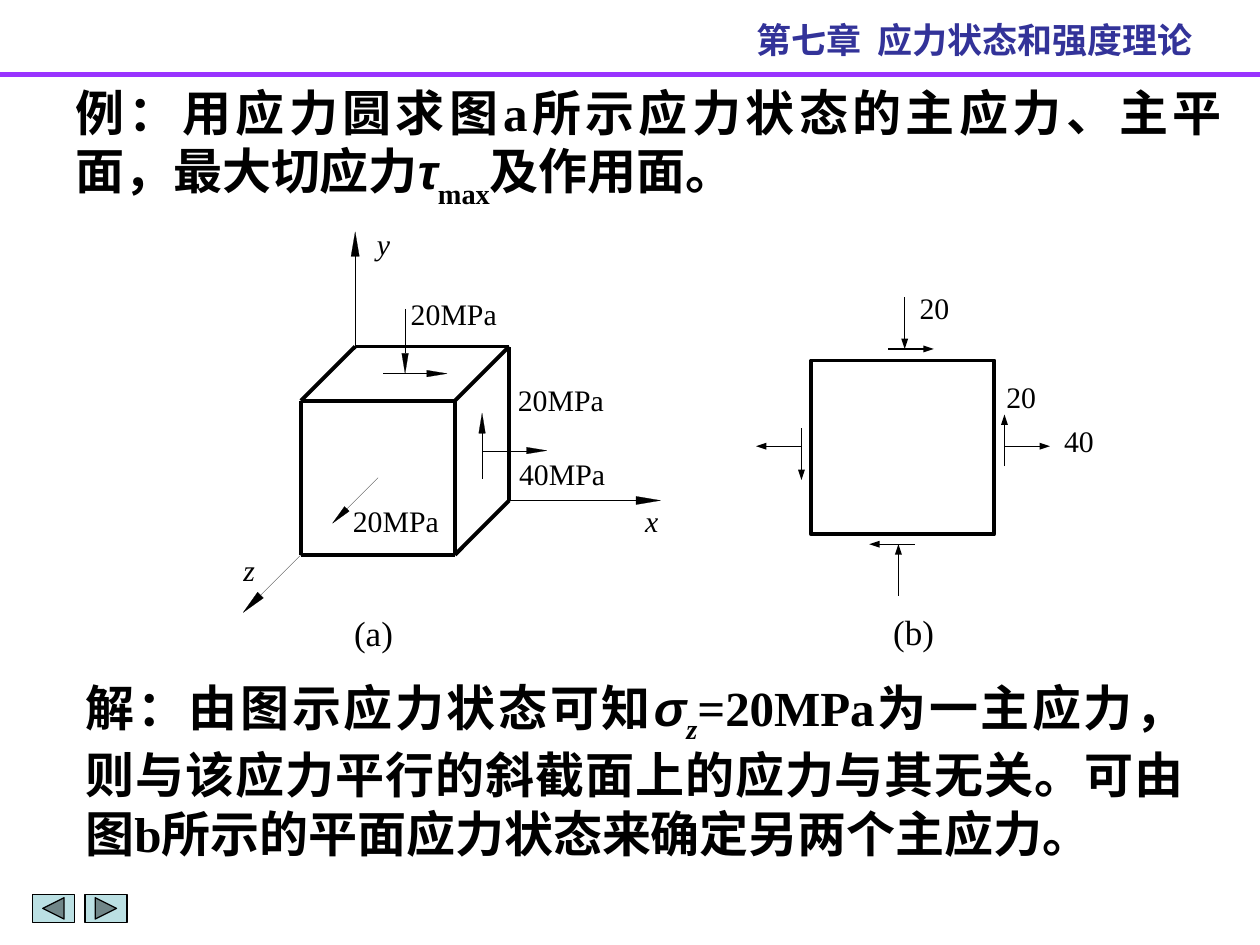
from dataclasses import dataclass
from math import hypot

from lxml.etree import SubElement
from pptx import Presentation
from pptx.dml.color import RGBColor
from pptx.enum.shapes import MSO_CONNECTOR, MSO_SHAPE
from pptx.enum.text import MSO_ANCHOR, MSO_AUTO_SIZE, PP_ALIGN
from pptx.oxml.ns import qn
from pptx.slide import Slide
from pptx.util import Pt


def color(value):
    """Turn a hex string into a colour."""
    return RGBColor.from_string(value)


@dataclass
class Sheet:
    """Hold the style and the slide being drawn."""

    slide: Slide
    ink: str = "000000"
    heading_ink: str = "333399"
    rule_ink: str = "9933FF"
    button_fill: str = "BBE0E3"
    serif: str = "Times New Roman"
    symbol: str = "Arial"
    hairline: float = 0.1

    def frame(self, holder, inset=(7.2, 3.6), anchor=MSO_ANCHOR.TOP):
        """Set up the text frame of a holder and return its paragraph."""
        frame = holder.text_frame
        frame.word_wrap = True
        frame.auto_size = MSO_AUTO_SIZE.SHAPE_TO_FIT_TEXT
        frame.vertical_anchor = anchor
        frame.margin_left = frame.margin_right = Pt(inset[0])
        frame.margin_top = frame.margin_bottom = Pt(inset[1])
        return frame.paragraphs[0]

    def run(self, paragraph, words, size, ink=None, font=None,
            bold=False, italic=False, baseline=0):
        """Append one run to a paragraph."""
        run = paragraph.add_run()
        run.text = words
        run.font.size = Pt(size)
        run.font.name = font or self.serif
        run.font.bold = bold
        run.font.italic = italic
        run.font.color.rgb = color(ink or self.ink)
        if baseline:
            run.font._element.set("baseline", str(baseline * 1000))

    def heading(self, box, chapter, topic, stop):
        """Fill the title placeholder with a chapter number and its topic."""
        title = self.slide.shapes.title
        title.left, title.top, title.width, title.height = map(Pt, box)
        paragraph = self.frame(title)
        paragraph.alignment = PP_ALIGN.LEFT
        tabs = SubElement(paragraph._p.get_or_add_pPr(), qn("a:tabLst"))
        SubElement(tabs, qn("a:tab"), pos=str(Pt(stop)), algn="l")
        self.run(paragraph, f"{chapter}\t{topic}", 20, self.heading_ink, bold=True)

    def passage(self, box, runs, anchor=MSO_ANCHOR.TOP):
        """Add a justified bold passage made of styled runs."""
        holder = self.slide.shapes.add_textbox(*map(Pt, box))
        paragraph = self.frame(holder, anchor=anchor)
        paragraph.alignment = PP_ALIGN.JUSTIFY
        paragraph._p.get_or_add_pPr().set("hangingPunct", "0")
        for words, style in runs:
            self.run(paragraph, words, 28, bold=True, **style)

    def label(self, box, words, size=17, inset=(0, 0), italic=False):
        """Add a short figure label."""
        holder = self.slide.shapes.add_textbox(*map(Pt, box))
        self.run(self.frame(holder, inset), words, size, italic=italic)

    def line(self, start, end, width, ink=None, arrow=False):
        """Add a straight line, with an arrowhead if asked."""
        line = self.slide.shapes.add_connector(
            MSO_CONNECTOR.STRAIGHT, *map(Pt, start + end))
        line.line.width = Pt(width)
        line.line.color.rgb = color(ink or self.ink)
        if arrow:
            SubElement(line.line._get_or_add_ln(), qn("a:tailEnd"),
                       type="triangle", w="sm")
        SubElement(line._element.spPr, qn("a:effectLst"))

    def slim_arrow(self, start, tip, length, width):
        """Add a hairline ending in a slim solid head."""
        dx, dy = tip[0] - start[0], tip[1] - start[1]
        span = hypot(dx, dy)
        ux, uy = dx / span, dy / span
        neck = (tip[0] - ux * length, tip[1] - uy * length)
        self.line(start, neck, self.hairline)
        sides = [(neck[0] - uy * half, neck[1] + ux * half)
                 for half in (width / 2, -width / 2)]
        corners = [tuple(map(Pt, corner)) for corner in (*sides, tip)]
        builder = self.slide.shapes.build_freeform(*corners[0])
        builder.add_line_segments(corners[1:], close=True)
        self.paint(builder.convert_to_shape(), self.ink, self.hairline)

    def paint(self, shape, fill, width):
        """Give a shape its fill and outline."""
        shape.shadow.inherit = False
        if fill:
            shape.fill.solid()
            shape.fill.fore_color.rgb = color(fill)
        else:
            shape.fill.background()
        shape.line.color.rgb = color(self.ink)
        shape.line.width = Pt(width)

    def shape(self, kind, box, fill=None, width=0.75):
        """Add a preset shape."""
        self.paint(self.slide.shapes.add_shape(kind, *map(Pt, box)), fill, width)


def draw_cube(sheet):
    """Draw the stressed cube with its axes."""
    left, top, side, depth = 172, 229, 88, 31
    right, bottom = left + side, top + side
    front = [(left, top), (left, bottom), (right, bottom), (right, top)]
    back = [(x + depth, y - depth) for x, y in front]
    edges = list(zip(front, front[1:] + front[:1]))
    edges += [(front[i], back[i]) for i in (0, 2, 3)]
    edges += [(back[2], back[3]), (back[3], back[0])]
    for start, end in edges:
        sheet.line(start, end, 2.25)

    for start, tip in (
        (back[2], (377.5, back[2][1])),
        (back[0], (back[0][0], 132.5)),
        (front[1], (139, 350)),
    ):
        sheet.slim_arrow(start, tip, 14, 4.7)
    for start, tip in (
        ((231.5, 176.5), (231.5, 213.5)),
        ((219, 213.5), (255.5, 213.5)),
        ((275.5, 273.5), (275.5, 236)),
        ((275.5, 257.5), (312.5, 257.5)),
        ((216, 273), (190, 299)),
    ):
        sheet.slim_arrow(start, tip, 11.6, 3.8)

    for x, y, stress in ((234.7, 169.2, 20), (295.9, 218.2, 20),
                         (296.6, 260.6, 40), (201.6, 287.3, 20)):
        sheet.label((x, y, 54, 20), f"{stress}MPa")
    for x, y, axis in ((368.6, 287.3, "x"), (215.3, 128.9, "y"), (139, 315.4, "z")):
        sheet.label((x, y, 10, 20), axis, italic=True)
    sheet.label((202.3, 349.2, 26, 24), "(a)", 20)


def draw_plane(sheet):
    """Draw the plane stress element."""
    sheet.shape(MSO_SHAPE.RECTANGLE, (463.7, 206, 104.4, 99.4), width=2.25)
    normal, shear = 29.5, 26
    for x, y, dx, dy in (
        (517, 170, 0, normal), (513.4, 340.5, 0, -normal),
        (574, 255, shear, 0), (458, 255, -shear, 0),
        (507.6, 199.4, shear, 0), (522.7, 311, -shear, 0),
        (458, 244.8, 0, normal), (574, 266.4, 0, -normal),
    ):
        sheet.line((x, y), (x + dx, y + dy), 0.75, arrow=True)
    for x, y, stress in ((518.4, 162, "20"), (568, 213, "20"), (601, 237.8, "40")):
        sheet.label((x, y, 33.1, 28), stress, inset=(7.2, 3.6))
    sheet.label((503.3, 345.6, 44, 31.7), "(b)", 20, inset=(7.2, 3.6))


def main():
    """Build the slide and save it."""
    deck = Presentation()
    deck.slide_width, deck.slide_height = Pt(720), Pt(540)
    sheet = Sheet(deck.slides.add_slide(deck.slide_layouts[5]))
    sheet.line((0, 42.5), (720, 42.5), 3, sheet.rule_ink)
    sheet.heading((425, 7.2, 287, 31.7), "第七章", "应力状态和强度理论", 69)
    sheet.passage((36, 43.2, 669.6, 80.6), (
        ("例：用应力圆求图a所示应力状态的主应力、主平面，最大切应力", {}),
        ("τ", {"font": sheet.symbol, "italic": True}),
        ("max", {"baseline": -30}),
        ("及作用面。", {}),
    ), MSO_ANCHOR.MIDDLE)
    sheet.passage((41.8, 383.8, 642.2, 113), (
        ("解：由图示应力状态可知", {}),
        ("σ", {"font": sheet.symbol, "italic": True}),
        ("z", {"italic": True, "baseline": -25}),
        ("=20MPa为一主应力，则与该应力平行的斜截面上的应力与其无关。"
         "可由图b所示的平面应力状态来确定另两个主应力。", {}),
    ))
    draw_plane(sheet)
    draw_cube(sheet)
    for kind, x in ((MSO_SHAPE.ACTION_BUTTON_BACK_OR_PREVIOUS, 18.5),
                    (MSO_SHAPE.ACTION_BUTTON_FORWARD_OR_NEXT, 48.5)):
        sheet.shape(kind, (x, 511, 24, 16.2), sheet.button_fill)
    deck.save("out.pptx")


if __name__ == "__main__":
    main()
